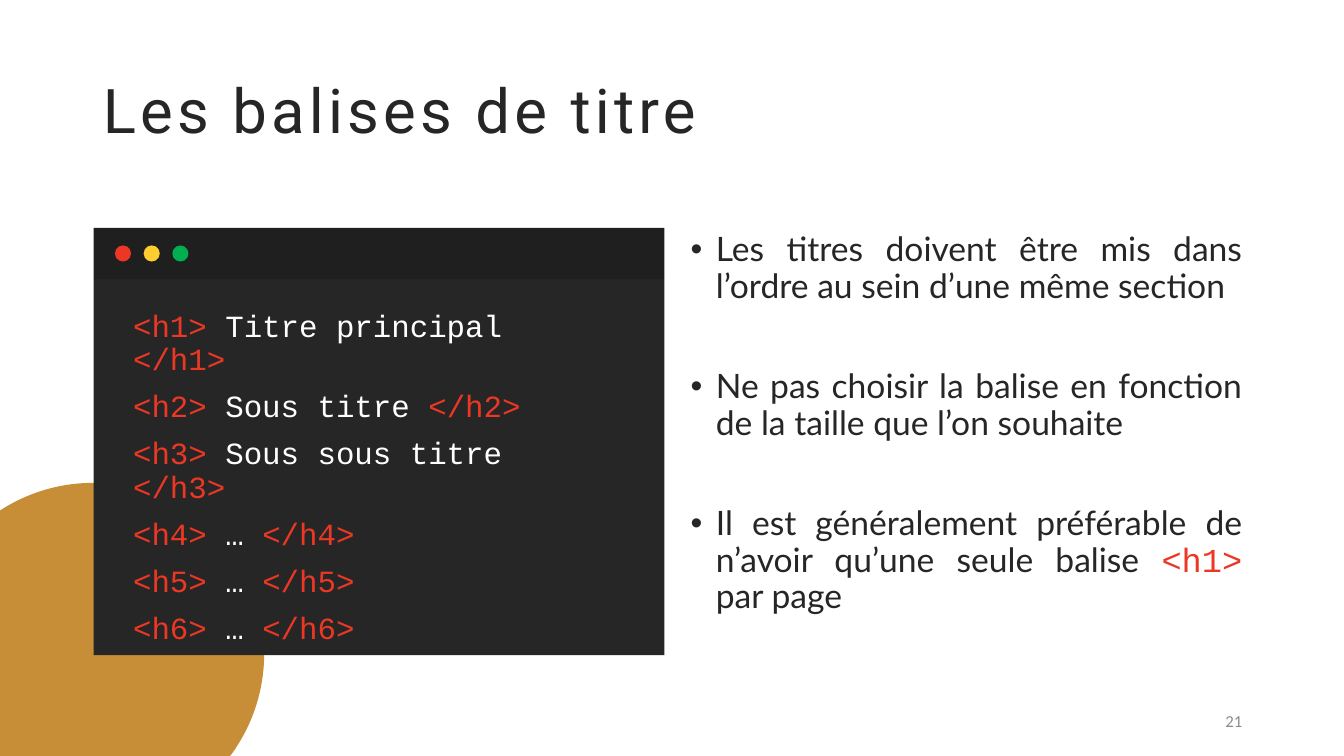
from lxml import etree
from pptx import Presentation
from pptx.dml.color import RGBColor
from pptx.enum.shapes import MSO_SHAPE
from pptx.enum.text import MSO_ANCHOR, MSO_AUTO_SIZE, PP_ALIGN
from pptx.oxml.ns import qn
from pptx.util import Inches, Pt

RECTANGLE, OVAL = MSO_SHAPE.RECTANGLE, MSO_SHAPE.OVAL
LEFT, RIGHT, JUSTIFY = PP_ALIGN.LEFT, PP_ALIGN.RIGHT, PP_ALIGN.JUSTIFY
TOP, MIDDLE = MSO_ANCHOR.TOP, MSO_ANCHOR.MIDDLE
NO_AUTOFIT = MSO_AUTO_SIZE.NONE

INK = RGBColor(0x26, 0x26, 0x26)
BAR = RGBColor(0x1F, 0x1F, 0x1F)
RED = RGBColor(0xEC, 0x37, 0x24)
YELLOW = RGBColor(0xFF, 0xCD, 0x2F)
GREEN = RGBColor(0x00, 0xB0, 0x50)
OCHRE = RGBColor(0xBA, 0x71, 0x06)
GREY = RGBColor(0x8C, 0x8C, 0x8C)
WHITE = RGBColor(0xFF, 0xFF, 0xFF)

SLIDE_WIDTH, SLIDE_HEIGHT = 13.33, 7.5
MARGIN = 0.92
CONTENT_WIDTH = 11.5
COLUMN_WIDTH = 5.67
COLUMN_TOP, COLUMN_HEIGHT = 2.26, 4.24
BAR_HEIGHT = 0.51
DOT_SIZE, DOT_PITCH = 0.16, 0.285

TITLE_FORMAT = {"name": "Roboto", "size": Pt(44)}
CODE_FORMAT = {"name": "Courier New", "size": Pt(22)}
LIST_FORMAT = {"name": "Lato", "size": Pt(24)}
INLINE_CODE_FORMAT = {"name": "Courier New", "size": Pt(24)}
NUMBER_FORMAT = {"name": "Calibri", "size": Pt(12)}

HEADINGS = ["Titre principal", "Sous titre", "Sous sous titre", "…", "…", "…"]
ADVICE = [
    [("Les titres doivent être mis dans l’ordre au sein d’une même section", LIST_FORMAT, INK)],
    [("Ne pas choisir la balise en fonction de la taille que l’on souhaite", LIST_FORMAT, INK)],
    [
        ("Il est généralement préférable de n’avoir qu’une seule balise ", LIST_FORMAT, INK),
        ("<h1>", INLINE_CODE_FORMAT, RED),
        (" par page", LIST_FORMAT, INK),
    ],
]


def place(shape, box):
    """Move a shape to a box given in inches."""
    for name, value in zip(("left", "top", "width", "height"), box):
        setattr(shape, name, Inches(value))


def add_filled(shapes, kind, box, color):
    """Add a preset shape with a flat fill and no line."""
    shape = shapes.add_shape(kind, *map(Inches, box))
    shape.shadow.inherit = False
    shape.fill.solid()
    shape.fill.fore_color.rgb = color
    shape.line.fill.background()
    return shape


def add_run(paragraph, text, text_format, color):
    """Add a formatted run to a paragraph."""
    run = paragraph.add_run()
    run.text = text
    for name, value in text_format.items():
        setattr(run.font, name, value)
    run.font.color.rgb = color
    return run


def set_bullet(paragraph, character, indent):
    """Set the hanging indent and the bullet of a paragraph."""
    properties = paragraph._p.get_or_add_pPr()
    properties.set("marL", str(Inches(indent)))
    properties.set("indent", str(-Inches(indent)))
    if character:
        etree.SubElement(properties, qn("a:buFont")).set("typeface", "Arial")
        etree.SubElement(properties, qn("a:buChar")).set("char", character)
    else:
        etree.SubElement(properties, qn("a:buNone"))


def fill_body(placeholder, box, lines, character, indent, alignment, gap):
    """Fill a body placeholder with lines of runs and raise it to the front."""
    place(placeholder, box)
    placeholder.element.getparent().append(placeholder.element)
    frame = placeholder.text_frame
    frame.auto_size = NO_AUTOFIT
    frame.vertical_anchor = TOP
    for index, runs in enumerate(lines):
        paragraph = frame.add_paragraph() if index else frame.paragraphs[0]
        set_bullet(paragraph, character, indent)
        paragraph.alignment = alignment
        paragraph.line_spacing = 0.9
        paragraph.space_before = Pt(gap if index else 0)
        for run in runs:
            add_run(paragraph, *run)


def add_disc(slide, box):
    """Add the translucent disc in the corner."""
    disc = add_filled(slide.shapes, OVAL, box, OCHRE)
    color = disc.element.spPr.find(qn("a:solidFill"))[0]
    etree.SubElement(color, qn("a:alpha")).set("val", "80000")


def add_title(slide, box):
    """Fill the title placeholder."""
    title = slide.shapes.title
    place(title, box)
    frame = title.text_frame
    frame.auto_size = NO_AUTOFIT
    frame.vertical_anchor = MIDDLE
    paragraph = frame.paragraphs[0]
    paragraph.alignment = LEFT
    paragraph.line_spacing = 0.9
    run = add_run(paragraph, "Les balises de titre", TITLE_FORMAT, INK)
    run.font._element.set("spc", "300")


def add_code_window(slide, box):
    """Draw the code window and write the heading tags in it."""
    left, top, width, height = box
    window = slide.shapes.add_group_shape().shapes
    pane = (left, top + BAR_HEIGHT, width, height - BAR_HEIGHT)
    add_filled(window, RECTANGLE, pane, INK)
    add_filled(window, RECTANGLE, (left, top, width, BAR_HEIGHT), BAR)
    dot_top = top + (BAR_HEIGHT - DOT_SIZE) / 2
    for index, color in enumerate((RED, YELLOW, GREEN)):
        dot_left = left + 0.21 + index * DOT_PITCH
        add_filled(window, OVAL, (dot_left, dot_top, DOT_SIZE, DOT_SIZE), color)
    lines = [
        [
            (f"<h{level}> ", CODE_FORMAT, RED),
            (f"{text} ", CODE_FORMAT, WHITE),
            (f"</h{level}>", CODE_FORMAT, RED),
        ]
        for level, text in enumerate(HEADINGS, 1)
    ]
    code_box = (left + 0.29, top + 0.77, width - 0.71, height - 1.05)
    fill_body(slide.placeholders[1], code_box, lines, None, 0, LEFT, 10)


def add_advice(slide, box):
    """Fill the bulleted list."""
    fill_body(slide.placeholders[2], box, ADVICE, "•", 0.25, JUSTIFY, 46)


def add_slide_number(slide, box):
    """Add the slide number."""
    frame = slide.shapes.add_textbox(*map(Inches, box)).text_frame
    frame.word_wrap = True
    frame.vertical_anchor = MIDDLE
    paragraph = frame.paragraphs[0]
    paragraph.alignment = RIGHT
    add_run(paragraph, "21", NUMBER_FORMAT, GREY)


def main():
    """Build the slide and save it."""
    presentation = Presentation()
    presentation.slide_width = Inches(SLIDE_WIDTH)
    presentation.slide_height = Inches(SLIDE_HEIGHT)
    slide = presentation.slides.add_slide(presentation.slide_layouts[3])
    right = MARGIN + CONTENT_WIDTH
    add_disc(slide, (-0.77, 4.79, 3.39, 3.39))
    add_title(slide, (MARGIN, 0.4, CONTENT_WIDTH, 1.45))
    add_code_window(slide, (0.93, COLUMN_TOP, 5.66, COLUMN_HEIGHT))
    add_advice(slide, (right - COLUMN_WIDTH, COLUMN_TOP, COLUMN_WIDTH, COLUMN_HEIGHT))
    add_slide_number(slide, (right - 3, 6.95, 3, 0.4))
    presentation.save("out.pptx")


if __name__ == "__main__":
    main()
